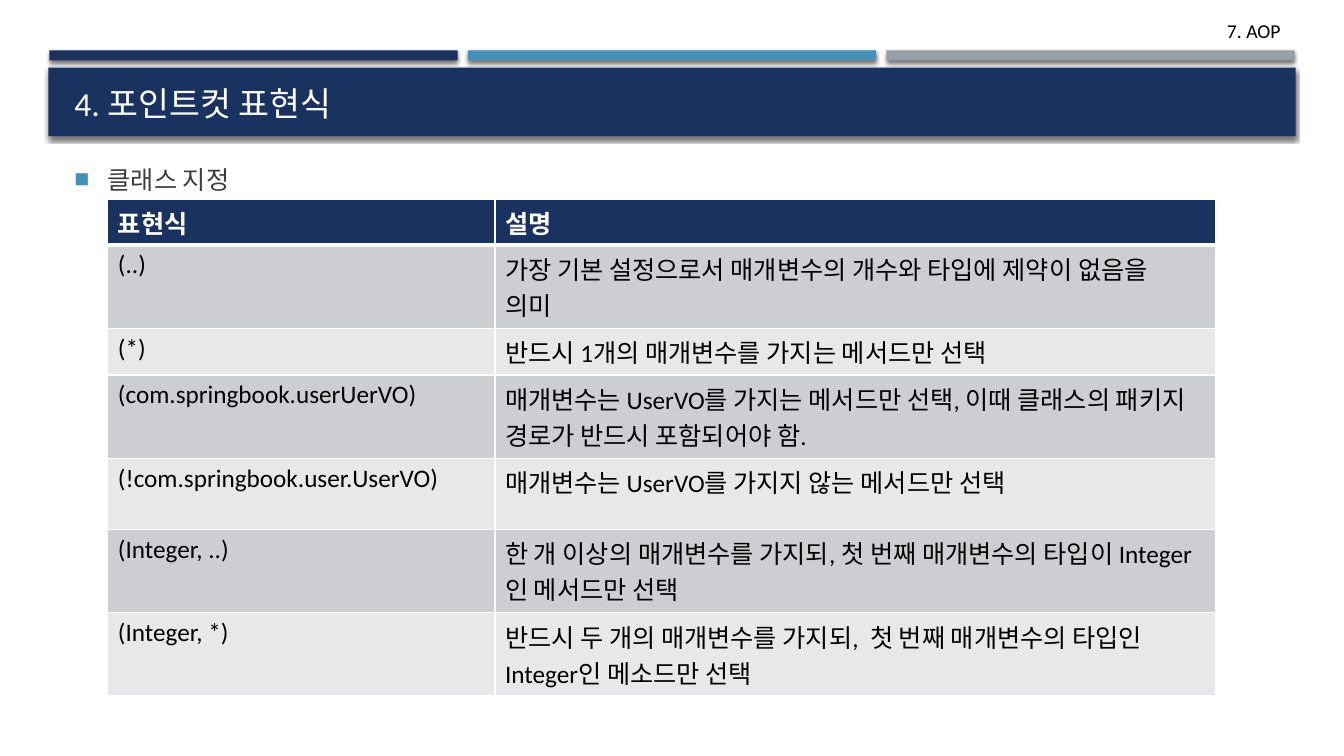
from pptx import Presentation
from pptx.util import Inches, Pt
from pptx.dml.color import RGBColor
from pptx.enum.shapes import MSO_SHAPE as Kind
from pptx.enum.text import PP_ALIGN as Align, MSO_ANCHOR as Anchor
from pptx.oxml import parse_xml
from pptx.oxml.ns import nsdecls

HUES = {"navy": "1A3260", "blue": "4590B8", "gray": "969FA7", "dark": "CDCED2",
        "light": "E8E8EA", "white": "FFFFFF", "black": "000000", "text": "3D3D3D"}
NS = nsdecls("a")
KOREAN = "Noto Sans CJK KR"


def style(par, size, hue, face="Calibri", bold=False):
    for run in par.runs:
        font = run.font
        font.size, font.name, font.bold = Pt(size), face, bold
        font.color.rgb = RGBColor.from_string(HUES[hue])


def label(left, top, wide, high, text):
    frame = slide.shapes.add_textbox(*map(Inches, (left, top, wide, high))).text_frame
    frame.word_wrap = True
    frame.text = text
    return frame


deck = Presentation()
deck.slide_width, deck.slide_height = Inches(13.33), Inches(7.5)
slide = deck.slides.add_slide(deck.slide_layouts[6])

bars = [(0.49 + 4.15 * i, 0.5, 4.05, 0.1, hue)
        for i, hue in enumerate(("navy", "blue", "gray"))]
bars.append((0.48, 0.67, 12.37, 0.68, "navy"))
for *box, hue in bars:
    bar = slide.shapes.add_shape(Kind.RECTANGLE, *map(Inches, box))
    bar.fill.solid()
    bar.fill.fore_color.rgb = RGBColor.from_string(HUES[hue])
    bar.line.fill.background()
    bar.shadow.inherit = False
    bar._element.spPr.find("{*}effectLst").append(parse_xml(
        f'<a:outerShdw {NS} blurRad="{Pt(3)}" dist="{Pt(2)}" dir="5400000" rotWithShape="0">'
        f'<a:srgbClr val="{HUES["black"]}"><a:alpha val="55000"/></a:srgbClr></a:outerShdw>'))

head = label(8.76, 0.14, 4.04, 0.33, "7. AOP").paragraphs[0]
head.alignment = Align.RIGHT
style(head, 14, "black")

title = label(0.64, 0.72, 12.06, 0.55, "4. 포인트컷 표현식")
title.vertical_anchor = Anchor.BOTTOM
style(title.paragraphs[0], 24, "white")

point = label(0.64, 1.58, 12.06, 5.28, "클래스 지정").paragraphs[0]
point.space_before, point.space_after = Pt(3.6), Pt(6)
style(point, 18, "text", KOREAN)
props = point._p.get_or_add_pPr()
props.set("marL", str(Inches(0.33)))
props.set("indent", str(-Inches(0.33)))
for mark in (f'<a:buClr {NS}><a:srgbClr val="{HUES["blue"]}"/></a:buClr>',
             f'<a:buSzPct {NS} val="60000"/>',
             f'<a:buFont {NS} typeface="{KOREAN}"/>',
             f'<a:buChar {NS} char="■"/>'):
    props.append(parse_xml(mark))

rows = [
    (0.45, "표현식", "설명"),
    (0.83, "(..)", "가장 기본 설정으로서 매개변수의 개수와 타입에 제약이 없음을 의미"),
    (0.46, "(*)", "반드시 1개의 매개변수를 가지는 메서드만 선택"),
    (0.83, "(com.springbook.userUerVO)",
     "매개변수는 UserVO를 가지는 메서드만 선택, 이때 클래스의 패키지 경로가 반드시 포함되어야 함."),
    (0.7, "(!com.springbook.user.UserVO)", "매개변수는 UserVO를 가지지 않는 메서드만 선택"),
    (0.83, "(Integer, ..)",
     "한 개 이상의 매개변수를 가지되, 첫 번째 매개변수의 타입이 Integer 인 메서드만 선택"),
    (0.82, "(Integer, *)",
     "반드시 두 개의 매개변수를 가지되,  첫 번째 매개변수의 타입인 Integer인 메소드만 선택"),
]
high = sum(row[0] for row in rows)
grid = slide.shapes.add_table(len(rows), 2, *map(Inches, (1.07, 1.98, 10.99, high))).table
for col, wide in zip(grid.columns, (3.84, 7.15)):
    col.width = Inches(wide)
for r, (tall, *row) in enumerate(rows):
    grid.rows[r].height = Inches(tall)
    hue = "navy" if r == 0 else "dark" if r % 2 else "light"
    for c, text in enumerate(row):
        cell = grid.cell(r, c)
        cell.text = text
        cell.margin_right = Inches(0.1 + 0.1 * c)
        style(cell.text_frame.paragraphs[0], 18, "black" if r else "white", bold=r == 0)
        cell.fill.solid()
        cell.fill.fore_color.rgb = RGBColor.from_string(HUES[hue])
        for i, side in enumerate("LRTB"):
            thick = 3 if (r, side) in ((0, "B"), (1, "T")) else 0.96
            cell._tc.get_or_add_tcPr().insert(i, parse_xml(
                f'<a:ln{side} {NS} w="{Pt(thick)}"><a:solidFill>'
                f'<a:srgbClr val="{HUES["white"]}"/></a:solidFill></a:ln{side}>'))

deck.save("out.pptx")
